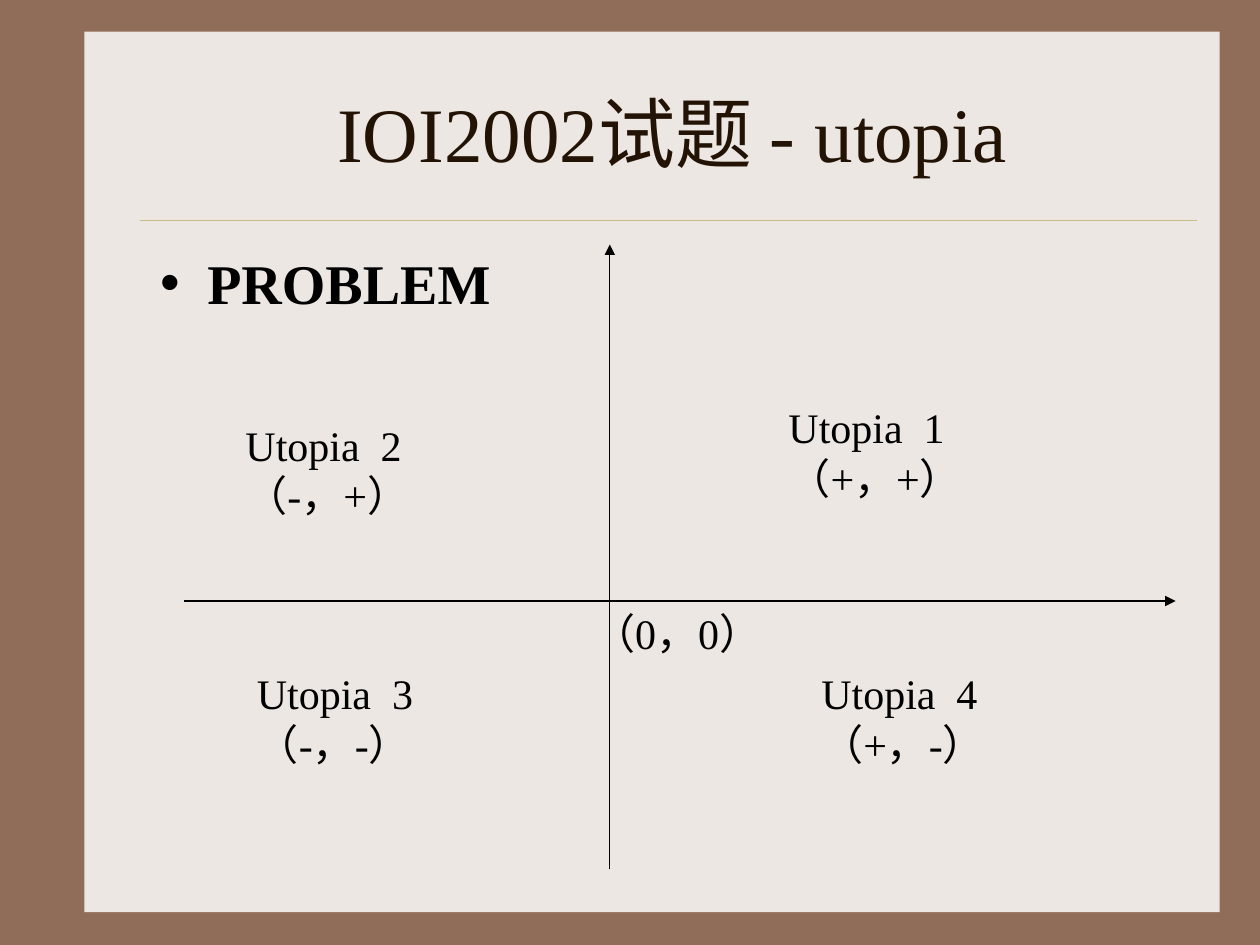
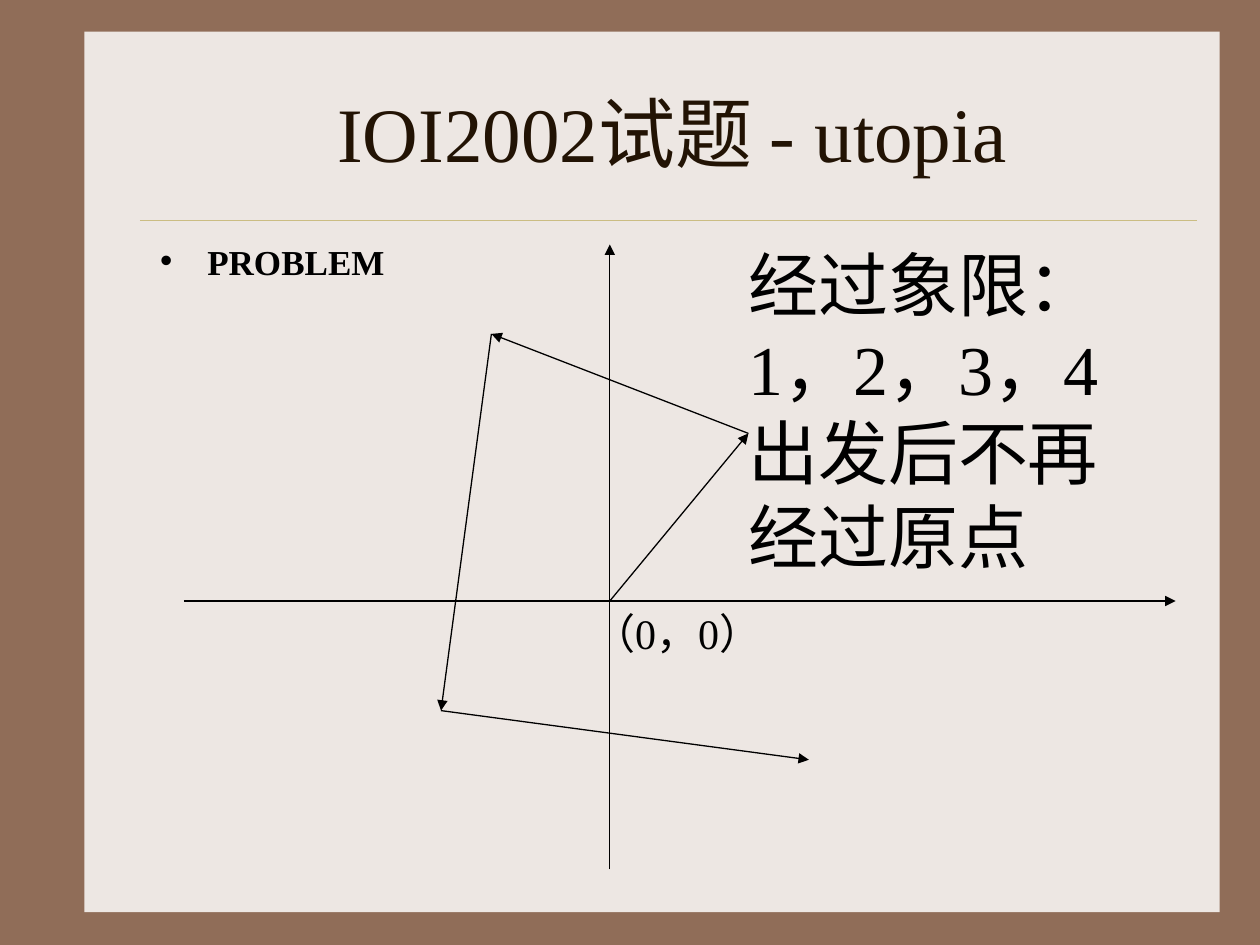
from pptx import Presentation
from pptx.dml.color import RGBColor
from pptx.enum.shapes import MSO_CONNECTOR, MSO_SHAPE
from pptx.enum.text import MSO_ANCHOR, MSO_AUTO_SIZE, PP_ALIGN
from pptx.oxml.ns import qn
from pptx.util import Inches, Pt
from lxml import etree

RECTANGLE = MSO_SHAPE.RECTANGLE
STRAIGHT = MSO_CONNECTOR.STRAIGHT
MIDDLE = MSO_ANCHOR.MIDDLE
CENTER = PP_ALIGN.CENTER
NO_FIT = MSO_AUTO_SIZE.NONE
GROW = MSO_AUTO_SIZE.SHAPE_TO_FIT_TEXT

FRAME, PAPER, RULE = "906D58", "EDE7E3", "CBBD83"
TITLE_COLOR, INK = "221304", "000000"
ORIGIN = (4.84, 4.77)


def color(hex_text):
    """Turn a hex string into a colour."""
    return RGBColor.from_string(hex_text)


def add_line(slide, start, end, hex_text=INK, width=0.74, arrow=True):
    """Draw a straight line, by default an arrow, without shadow."""
    line = slide.shapes.add_connector(
        STRAIGHT, *[Inches(value) for value in (*start, *end)])
    line.line.color.rgb = color(hex_text)
    line.line.width = Pt(width)
    if arrow:
        etree.SubElement(line.line._get_or_add_ln(), qn("a:tailEnd"), type="triangle")
    etree.SubElement(line._element.spPr, qn("a:effectLst"))
    return line


presentation = Presentation()
presentation.slide_width, presentation.slide_height = Inches(10), Inches(7.5)
layout = presentation.slide_layouts[1]
slides = [presentation.slides.add_slide(layout) for _ in range(2)]

# Shared background, paper and rule live on the master
master = presentation.slide_master
master.background.fill.solid()
master.background.fill.fore_color.rgb = color(FRAME)
paper = slides[0].shapes.add_shape(
    RECTANGLE, Inches(0.67), Inches(0.25), Inches(9.01), Inches(6.99))
paper.shadow.inherit = False
paper.fill.solid()
paper.fill.fore_color.rgb = color(PAPER)
paper.line.fill.background()
rule = add_line(slides[0], (1.11, 1.75), (9.5, 1.75), RULE, 0.26, arrow=False)
for position, shape in enumerate((paper, rule)):
    shape._element.xpath(".//p:cNvPr")[0].set("id", str(20 + position))
    master.shapes._spTree.insert(2 + position, shape._element)

# Title and list areas, inherited by both slides
areas = [(1.17, 0.42, 8.33, 1.25), (1.17, 1.92, 8.33, 4.5)]
for placeholder, area in zip(master.placeholders, areas):
    for name, value in zip(("left", "top", "width", "height"), area):
        setattr(placeholder, name, Inches(value))

heading_formats = [
    {"space_before": Pt(8)},
    {"space_before": Pt(5), "line_spacing": 0.8},
]
heading_sizes = [32, 20]
# Label widths leave a little room so that no line breaks
labels = [
    [
        (6.16, 3.14, 1.94, 0.9, 24, ["Utopia  1", "（+，+）"]),
        (1.85, 3.28, 1.87, 0.9, 24, ["Utopia  2", "（-，+）"]),
        (1.94, 5.25, 1.79, 0.9, 24, ["Utopia  3", "（-，-）"]),
        (6.42, 5.25, 1.87, 0.9, 24, ["Utopia  4", "（+，-）"]),
    ],
    [(5.84, 1.87, 3.82, 2.77, 40,
      ["经过象限：", "1，2，3，4", "出发后不再", "经过原点"])],
]
origin_label = (4.61, 4.77, 1.9, 0.5, 24, ["（0，0）"])
routes = [[], [ORIGIN, (5.94, 3.44), (3.9, 2.65), (3.5, 5.64), (6.42, 6.03)]]

for slide, size, heading_format, slide_labels, route in zip(
        slides, heading_sizes, heading_formats, labels, routes):
    title, body = slide.placeholders
    texts = [
        (title, "IOI2002试题 - utopia", {"alignment": CENTER},
         {"size": Pt(44)}, TITLE_COLOR),
        (body, "PROBLEM", heading_format, {"size": Pt(size), "bold": True}, INK),
    ]
    for placeholder, text, paragraph_format, font_format, hex_text in texts:
        frame = placeholder.text_frame
        frame.text = text
        frame.auto_size = NO_FIT
        paragraph = frame.paragraphs[0]
        for name, value in paragraph_format.items():
            setattr(paragraph, name, value)
        font = paragraph.runs[0].font
        for name, value in {"name": "Times New Roman", **font_format}.items():
            setattr(font, name, value)
        font.color.rgb = color(hex_text)
    title.text_frame.vertical_anchor = MIDDLE

    # Axes and route
    add_line(slide, (1.46, ORIGIN[1]), (9.33, ORIGIN[1]))
    add_line(slide, (ORIGIN[0], 6.9), (ORIGIN[0], 1.94))
    for start, end in zip(route, route[1:]):
        add_line(slide, start, end)

    for *area, label_size, lines in [*slide_labels, origin_label]:
        label = slide.shapes.add_textbox(*[Inches(value) for value in area])
        frame = label.text_frame
        frame.text = "\n".join(lines)
        frame.word_wrap = False
        frame.auto_size = GROW
        for paragraph in frame.paragraphs:
            font = paragraph.runs[0].font
            font.name, font.size = "Times New Roman", Pt(label_size)
            font.color.rgb = color(INK)

presentation.save("out.pptx")
